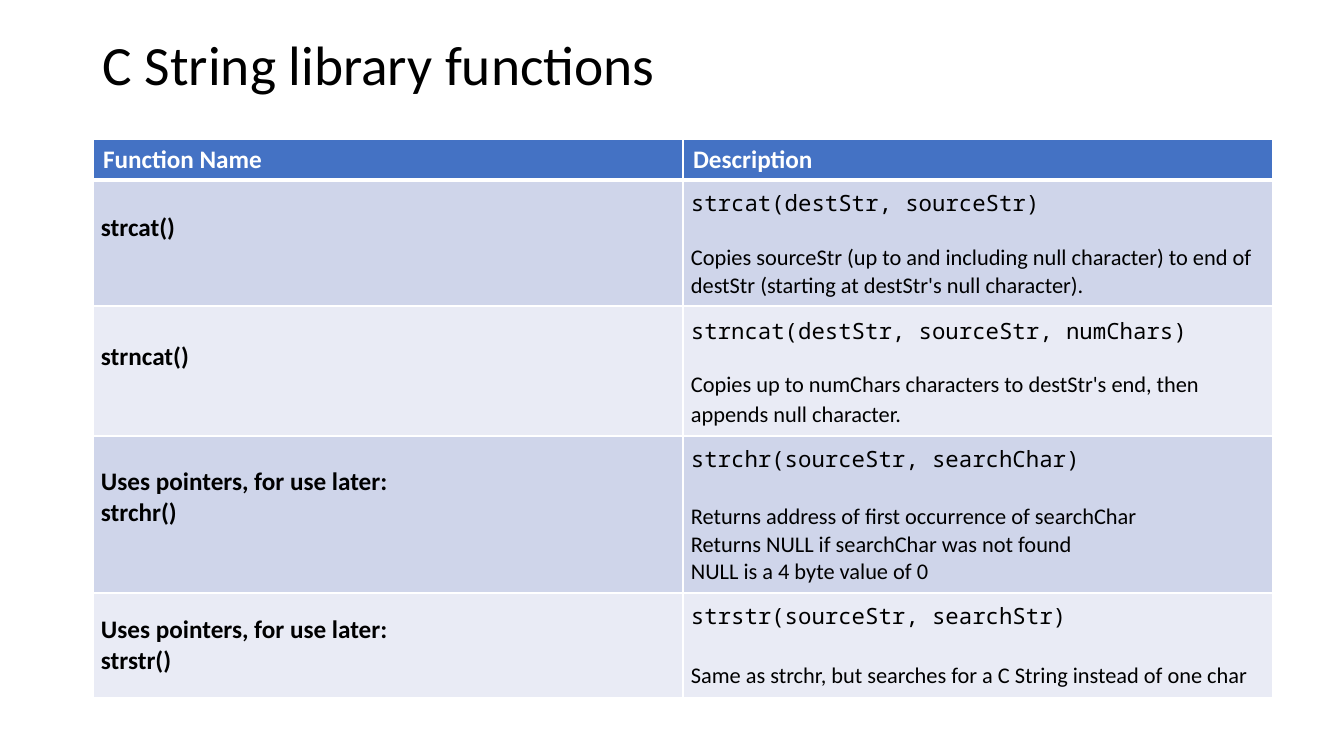
from lxml import etree
from pptx import Presentation
from pptx.dml.color import RGBColor
from pptx.enum.text import MSO_ANCHOR
from pptx.oxml.ns import qn
from pptx.util import Pt

MIDDLE, TOP = MSO_ANCHOR.MIDDLE, MSO_ANCHOR.TOP
SANS, MONO = "Calibri", "Noto Sans Mono"
COLORS = {
    "text": "000000",
    "white": "FFFFFF",
    "header": "4472C4",
    "band_dark": "CFD5EA",
    "band_light": "E9EBF5",
}

# Content
TITLE = "C String library functions"
HEADINGS = ["Function Name", "Description"]
# gap: px between signature and description; lift: px added below the name
FUNCTIONS = [
    dict(name=["strcat()"], signature="strcat(destStr, sourceStr)",
         description=["Copies sourceStr (up to and including null character) to end of "
                      "destStr (starting at destStr's null character)."],
         height=126, gap=26, lift=30, spacing=1.0),
    dict(name=["strncat()"], signature="strncat(destStr, sourceStr, numChars)",
         description=["Copies up to numChars characters to destStr's end, "
                      "then appends null character."],
         height=130, gap=23, lift=30, spacing=1.07),
    dict(name=["Uses pointers, for use later:", "strchr()"],
         signature="strchr(sourceStr, searchChar)",
         description=["Returns address of first occurrence of searchChar",
                      "Returns NULL if searchChar was not found",
                      "NULL is a 4 byte value of 0"],
         height=157, gap=29, lift=34, spacing=1.0),
    dict(name=["Uses pointers, for use later:", "strstr()"],
         signature="strstr(sourceStr, searchStr)",
         description=["Same as strchr, but searches for a C String instead of one char"],
         height=105, gap=31, lift=0, spacing=1.0),
]

# Layout in px
SLIDE_W, SLIDE_H = 1344, 756
LEFT, TITLE_TOP, TITLE_W, TITLE_H = 93, 30, 1159, 76
TABLE_TOP, COLUMN_W, HEADER_H = 139, 590, 41
INSET = 8


def px(length):
    return round(length * 914400 / 100.8)


def write_line(frame, index, text, size, font=SANS, color="text", bold=False,
               spacing=1.0, before=0):
    line = frame.paragraphs[0] if index == 0 else frame.add_paragraph()
    line.line_spacing = spacing
    line.space_before = px(before)
    run = line.add_run()
    run.text = text
    run.font.size, run.font.name, run.font.bold = Pt(size), font, bold
    run.font.color.rgb = RGBColor.from_string(COLORS[color])


def style_cell(cell, fill, anchor, bottom_width=1):
    cell.vertical_anchor = anchor
    properties = cell._tc.get_or_add_tcPr()
    for side, width in (("L", 1), ("R", 1), ("T", 1), ("B", bottom_width)):
        border = etree.SubElement(properties, qn(f"a:ln{side}"), w=str(Pt(width)))
        solid = etree.SubElement(border, qn("a:solidFill"))
        etree.SubElement(solid, qn("a:srgbClr"), val=COLORS["white"])
    cell.fill.solid()
    cell.fill.fore_color.rgb = RGBColor.from_string(COLORS[fill])


def set_insets(cell, lift=0):
    cell.margin_left = cell.margin_right = cell.margin_top = px(INSET)
    cell.margin_bottom = px(INSET + lift)


def main():
    deck = Presentation()
    deck.slide_width, deck.slide_height = px(SLIDE_W), px(SLIDE_H)
    slide = deck.slides.add_slide(deck.slide_layouts[6])

    # Title
    title = slide.shapes.add_textbox(px(LEFT), px(TITLE_TOP), px(TITLE_W), px(TITLE_H))
    title.text_frame.word_wrap = True
    title.text_frame.vertical_anchor = MIDDLE
    write_line(title.text_frame, 0, TITLE, 39.6, spacing=0.9)

    # Table grid
    heights = [HEADER_H] + [function["height"] for function in FUNCTIONS]
    table = slide.shapes.add_table(
        len(heights), len(HEADINGS), px(LEFT), px(TABLE_TOP),
        px(COLUMN_W * len(HEADINGS)), px(sum(heights))).table
    for column in table.columns:
        column.width = px(COLUMN_W)
    for row, height in zip(table.rows, heights):
        row.height = px(height)

    # Header row
    for column, heading in enumerate(HEADINGS):
        cell = table.cell(0, column)
        style_cell(cell, "header", TOP, bottom_width=3)
        write_line(cell.text_frame, 0, heading, 18, color="white", bold=True)

    # Function rows
    for number, function in enumerate(FUNCTIONS, start=1):
        band = "band_dark" if number % 2 else "band_light"
        name, description = table.cell(number, 0), table.cell(number, 1)
        for cell in (name, description):
            style_cell(cell, band, MIDDLE)
        set_insets(name, function["lift"])
        set_insets(description)

        spacing = function["spacing"]
        for index, text in enumerate(function["name"]):
            write_line(name.text_frame, index, text, 18, bold=True, spacing=spacing)
        write_line(description.text_frame, 0, function["signature"], 16, MONO,
                   spacing=spacing)
        for index, text in enumerate(function["description"], start=1):
            write_line(description.text_frame, index, text, 16, spacing=spacing,
                       before=function["gap"] if index == 1 else 0)

    deck.save("out.pptx")


if __name__ == "__main__":
    main()
